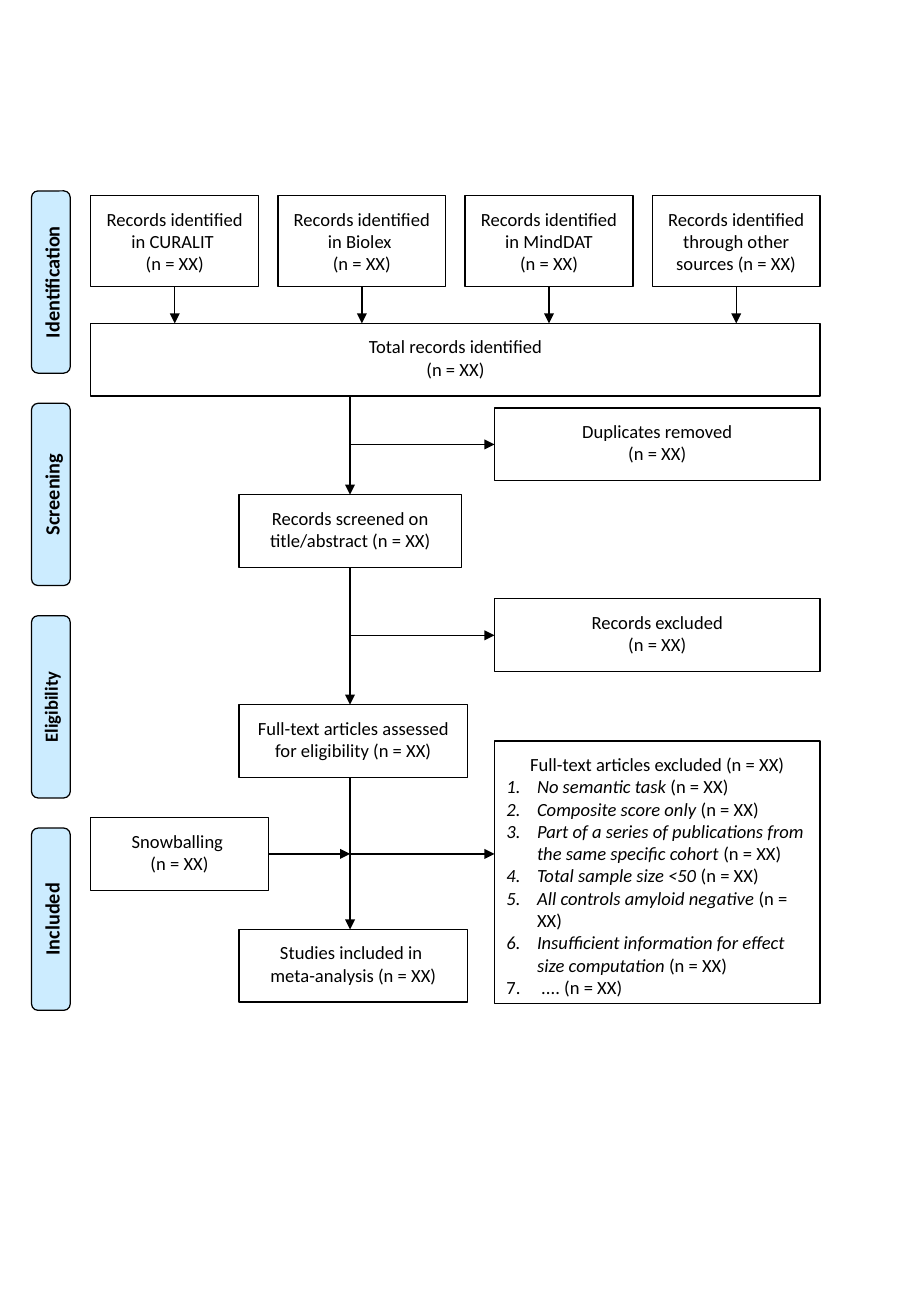
"""Draws a study selection flow diagram, from identified records to included studies."""
from lxml.etree import SubElement
from pptx import Presentation
from pptx.dml.color import RGBColor
from pptx.enum.shapes import MSO_CONNECTOR as Link, MSO_SHAPE as Form
from pptx.enum.text import MSO_ANCHOR as Anchor, MSO_AUTO_SIZE as AutoSize, PP_ALIGN as Align
from pptx.oxml.ns import qn
from pptx.util import Cm, Pt


def color(code):
    """Turn a hex string into a colour."""
    return RGBColor.from_string(code)


class FlowSlide:
    """Holds the diagram style and the slide it is drawn on."""
    font, size, ink, paper, tint = "Calibri", 11, "000000", "FFFFFF", "CCECFF"
    line_width, inset, indent = Pt(0.75), 0.25, 0.64

    def __init__(self, deck):
        """Add a slide that keeps only its body placeholder."""
        self.slide = deck.slides.add_slide(deck.slide_layouts[1])
        title = self.slide.shapes.title
        title.element.getparent().remove(title.element)

    def outline(self, item):
        """Give a shape or connector the common line."""
        item.line.color.rgb = color(self.ink)
        item.line.width = self.line_width

    def dress(self, shape, fill, inset):
        """Set the fill, line and text frame of a shape."""
        shape.fill.solid()
        shape.fill.fore_color.rgb = color(fill)
        self.outline(shape)
        frame = shape.text_frame
        frame.word_wrap = True
        frame.auto_size = AutoSize.NONE
        frame.vertical_anchor = Anchor.TOP
        frame.margin_left = frame.margin_right = Cm(inset)
        frame.margin_top = frame.margin_bottom = Cm(inset)

    def typeset(self, paragraph, align, size=None, bold=False):
        """Format a paragraph and all its runs."""
        paragraph.alignment = align
        paragraph.space_before = Pt(0)
        for run in paragraph.runs:
            run.font.name = self.font
            run.font.size = Pt(size or self.size)
            run.font.bold = bold
            run.font.color.rgb = color(self.ink)

    def block(self, form, place, text, fill, inset, size=None, bold=False):
        """Add a filled shape with centred text."""
        shape = self.slide.shapes.add_shape(form, *map(Cm, place))
        shape.shadow.inherit = False
        self.dress(shape, fill, inset)
        shape.text_frame.text = text
        for paragraph in shape.text_frame.paragraphs:
            self.typeset(paragraph, Align.CENTER, size, bold)
        return shape

    def step(self, left, top, width, height, text):
        """Add a white box of the flow."""
        return self.block(Form.RECTANGLE, (left, top, width, height), text, self.paper, self.inset)

    def stage(self, left, top, width, height, text, size):
        """Add an upright stage label."""
        label = self.block(Form.ROUNDED_RECTANGLE, (left, top, width, height), text,
                           self.tint, self.inset / 2, size, True)
        label.rotation = 270

    def reasons(self, left, top, width, height, heading, items, count):
        """Fill the body placeholder with a heading and numbered reasons."""
        body = self.slide.placeholders[1]
        body.left, body.top, body.width, body.height = map(Cm, (left, top, width, height))
        self.dress(body, self.paper, self.inset)
        body.text_frame.text = "\n".join([heading, *items])
        first, *numbered = body.text_frame.paragraphs
        self.typeset(first, Align.CENTER)
        self.bullet(first, 0, "a:buNone")
        for paragraph in numbered:
            listed = paragraph.runs[0]
            listed.font.italic = not listed.text.startswith(" ")
            paragraph.add_run().text = f" {count}"
            self.typeset(paragraph, Align.LEFT)
            self.bullet(paragraph, self.indent, "a:buAutoNum", type="arabicPeriod")

    def bullet(self, paragraph, indent, tag, **settings):
        """Set the hanging indent and bullet of a paragraph."""
        properties = paragraph._p.get_or_add_pPr()
        properties.set("marL", str(Cm(indent)))
        properties.set("indent", str(-Cm(indent)))
        SubElement(properties, qn(tag), **settings)

    def arrow(self, x1, y1, x2, y2):
        """Add an arrow between two points given in EMU."""
        link = self.slide.shapes.add_connector(Link.STRAIGHT, x1, y1, x2, y2)
        self.outline(link)
        SubElement(link.line._get_or_add_ln(), qn("a:tailEnd"), type="triangle")
        SubElement(link._element.spPr, qn("a:effectLst"))

    def down(self, upper, lower, x):
        """Link the bottom of one box to the top of another."""
        self.arrow(x, upper.top + upper.height, x, lower.top)


deck = Presentation()
deck.slide_width, deck.slide_height = Cm(19.05), Cm(27.51)
flow = FlowSlide(deck)

COUNT = "(n = XX)"
LEFT, MAIN, SIDE, RIGHT = 1.9, 5.0, 10.34, 17.15
ROW, SOURCE_WIDTH, SOURCE_HEIGHT = 1.52, 3.51, 1.9
TRUNK = Cm(7.32)

stages = [("Identification", 12), ("Screening", 12), ("Eligibility", 11), ("Included", 12)]
for order, (name, size) in enumerate(stages):
    flow.stage(-0.84, 5.49 + order * 4.44, 3.81, 0.81, name, size)

total = flow.step(LEFT, 6.76, RIGHT - LEFT, ROW, f"Total records identified\v{COUNT}")
sources = [f"in CURALIT \n{COUNT}", f"in Biolex \n{COUNT}", f"in MindDAT\v{COUNT}",
           f"through other sources {COUNT}"]
pitch = (RIGHT - LEFT - SOURCE_WIDTH) / (len(sources) - 1)
for order, origin in enumerate(sources):
    source = flow.step(LEFT + order * pitch, 4.09, SOURCE_WIDTH, SOURCE_HEIGHT,
                       f"Records identified {origin}")
    flow.down(source, total, source.left + source.width // 2)

screened = flow.step(MAIN, 10.34, 4.65, ROW, f"Records screened on title/abstract {COUNT}")
assessed = flow.step(MAIN, 14.73, 4.78, ROW,
                     f"Full-text articles assessed for eligibility {COUNT}")
included = flow.step(MAIN, 19.43, 4.78, ROW, f"Studies included in \nmeta-analysis {COUNT}")
trunk_steps = [total, screened, assessed, included]
for upper, lower in zip(trunk_steps, trunk_steps[1:]):
    flow.down(upper, lower, TRUNK)

snowballing = flow.step(LEFT, 17.09, 3.71, ROW, f"Snowballing \n{COUNT}")
duplicates = flow.step(SIDE, 8.53, RIGHT - SIDE, ROW, f"Duplicates removed\v{COUNT}")
excluded = flow.step(SIDE, 12.52, RIGHT - SIDE, ROW, f"Records excluded\v{COUNT}")
flow.reasons(SIDE, 15.49, RIGHT - SIDE, 5.49, f"Full-text articles excluded {COUNT}", [
    "No semantic task",
    "Composite score only",
    "Part of a series of publications from the same specific cohort",
    "Total sample size <50",
    "All controls amyloid negative",
    "Insufficient information for effect size computation",
    " ....",
], COUNT)

for branch in (duplicates, excluded, snowballing):
    level = branch.top + branch.height // 2
    flow.arrow(TRUNK, level, Cm(SIDE), level)
flow.arrow(snowballing.left + snowballing.width, level, TRUNK, level)

deck.save("out.pptx")
